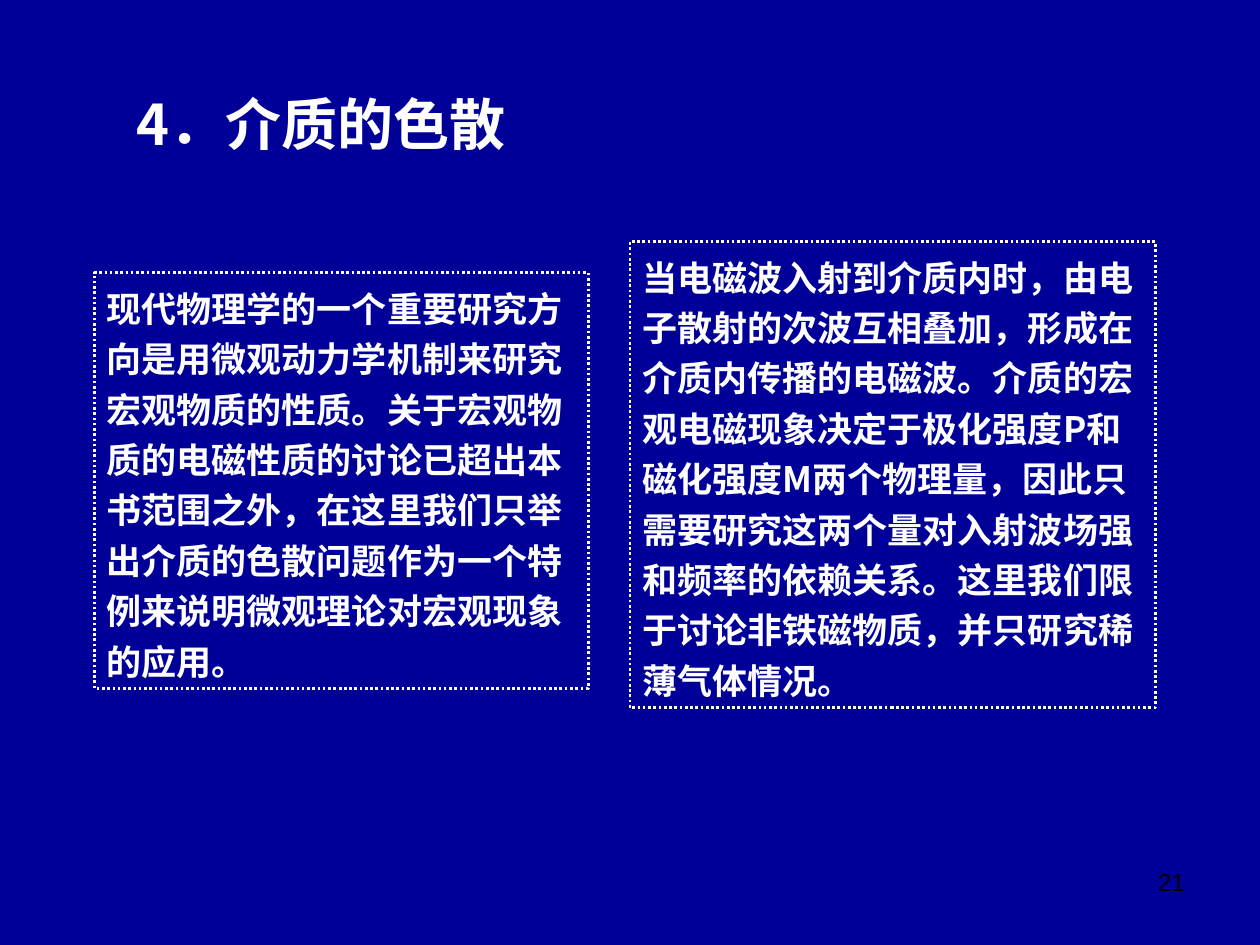
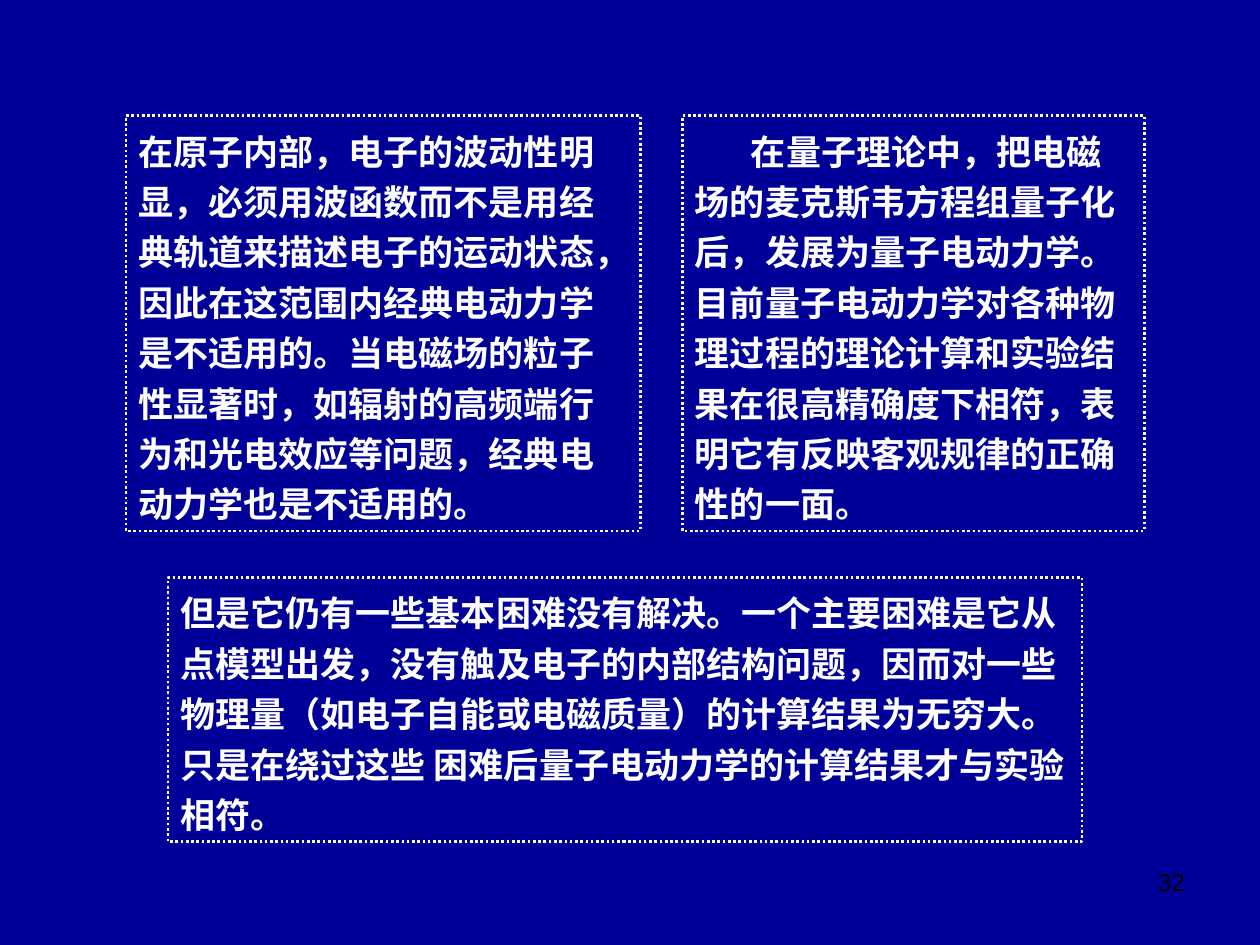
from lxml import etree
from pptx import Presentation
from pptx.dml.color import RGBColor
from pptx.enum import dml, shapes, text
from pptx.oxml.ns import qn
from pptx.util import Cm, Pt

NAVY = RGBColor(0x00, 0x00, 0x99)
WHITE = RGBColor(0xFF, 0xFF, 0xFF)
BLACK = RGBColor(0x00, 0x00, 0x00)
HAN = "Noto Sans CJK SC"

PAGES = [
    {
        "title": "4．介质的色散",
        "face": HAN,
        "number": "21",
        "notes": [
            ((1.9, 5.5, 9.96, 8.38), 0,
             "现代物理学的一个重要研究方向是用微观动力学机制来研究宏观物质的性质。"
             "关于宏观物质的电磁性质的讨论已超出本书范围之外，"
             "在这里我们只举出介质的色散问题作为一个特例来说明微观理论对宏观现象的应用。"),
            ((12.7, 4.87, 10.59, 9.4), 0,
             "当电磁波入射到介质内时，由电子散射的次波互相叠加，形成在介质内传播的电磁波。"
             "介质的宏观电磁现象决定于极化强度P和磁化强度M两个物理量，"
             "因此只需要研究这两个量对入射波场强和频率的依赖关系。"
             "这里我们限于讨论非铁磁物质，并只研究稀薄气体情况。"),
        ],
    },
    {
        "title": None,
        "face": "Calibri",
        "number": "32",
        "notes": [
            ((2.54, 2.33, 10.37, 8.38), 0,
             "在原子内部，电子的波动性明显，必须用波函数而不是用经典轨道来描述电子的运动状态，"
             "因此在这范围内经典电动力学是不适用的。当电磁场的粒子性显著时，"
             "如辐射的高频端行为和光电效应等问题，经典电动力学也是不适用的。"),
            ((13.76, 2.33, 9.31, 8.38), 1.13,
             "在量子理论中，把电磁场的麦克斯韦方程组量子化后，发展为量子电动力学。"
             "目前量子电动力学对各种物理过程的理论计算和实验结果在很高精确度下相符，"
             "表明它有反映客观规律的正确性的一面。"),
            ((3.39, 11.64, 18.42, 5.33), 0,
             "但是它仍有一些基本困难没有解决。一个主要困难是它从点模型出发，"
             "没有触及电子的内部结构问题，因而对一些物理量（如电子自能或电磁质量）的计算结果为无穷大。"
             "只是在绕过这些 困难后量子电动力学的计算结果才与实验相符。"),
        ],
    },
]


def write(shape, words, face, size, color, bold=True, align=text.PP_ALIGN.LEFT):
    frame = shape.text_frame
    frame.word_wrap = True
    frame.vertical_anchor = text.MSO_ANCHOR.TOP
    para = frame.paragraphs[0]
    para.text = words
    para.alignment = align
    font = para.font
    font.name, font.size, font.bold = face, Pt(size), bold
    font.color.rgb = color
    latin = para._p.pPr.find(qn("a:defRPr")).find(qn("a:latin"))
    east = etree.Element(qn("a:ea"), typeface=HAN)
    latin.addnext(east)
    return para


def add_text(slide, place, *style, **more):
    box = slide.shapes.add_textbox(*map(Cm, place))
    write(box, *style, **more)


def add_note(slide, place, indent, words, face):
    box = slide.shapes.add_shape(shapes.MSO_SHAPE.RECTANGLE, *map(Cm, place))
    box.shadow.inherit = False
    box.fill.background()
    box.line.color.rgb = WHITE
    box.line.width = Pt(1.5)
    box.line.dash_style = dml.MSO_LINE.ROUND_DOT
    para = write(box, words, face, 20, WHITE)
    para.line_spacing = 1.2
    if indent:
        para._p.pPr.set("indent", str(Cm(indent)))


def main():
    deck = Presentation()
    deck.slide_width, deck.slide_height = Cm(25.4), Cm(19.05)
    for page in PAGES:
        slide = deck.slides.add_slide(deck.slide_layouts[6])
        fill = slide.background.fill
        fill.solid()
        fill.fore_color.rgb = NAVY
        if page["title"]:
            add_text(slide, (2.5, 1.68, 8.5, 1.63), page["title"], HAN, 32, WHITE)
        for note in page["notes"]:
            add_note(slide, *note, page["face"])
        add_text(slide, (18.21, 17.35, 5.93, 1.32), page["number"], "Arial", 14,
                 BLACK, bold=False, align=text.PP_ALIGN.RIGHT)
    deck.save("out.pptx")


if __name__ == "__main__":
    main()
